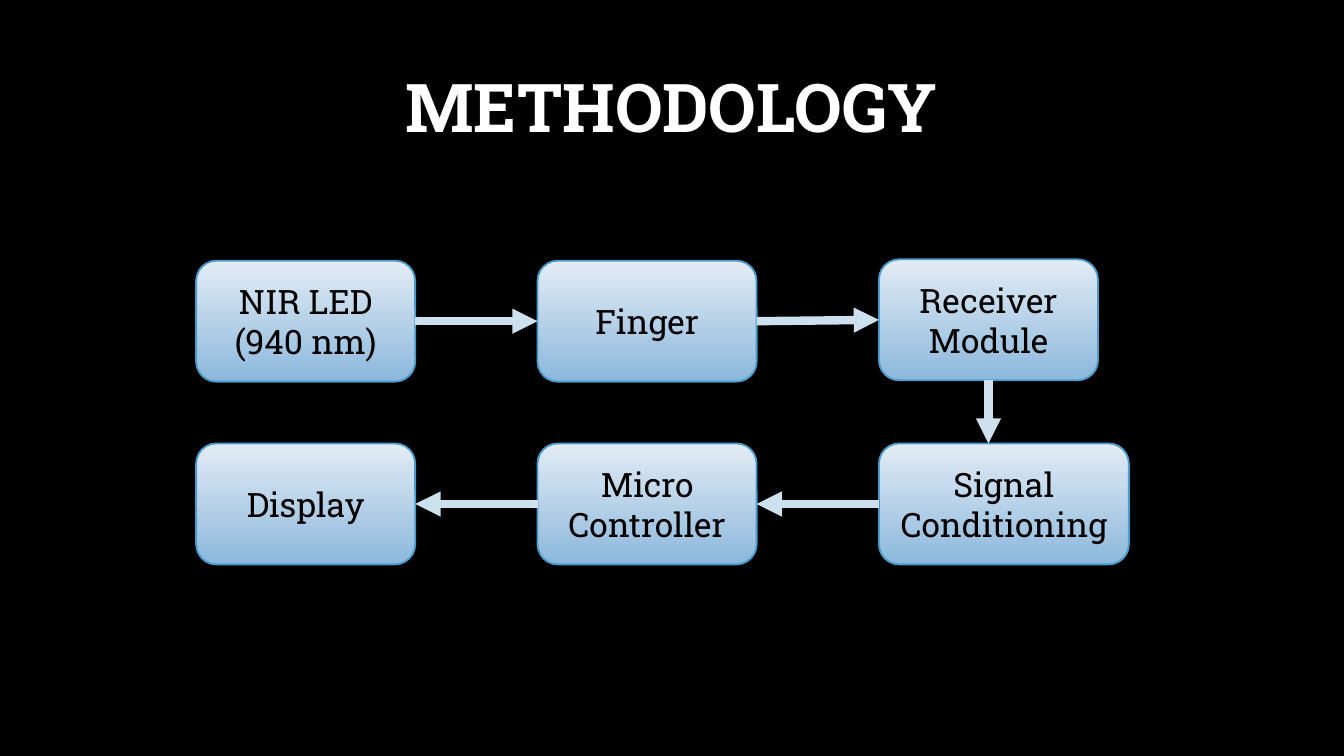
"""Build the methodology slide: six steps joined by arrows."""
from itertools import pairwise

from lxml.etree import SubElement
from pptx import Presentation
from pptx.dml.color import RGBColor
from pptx.enum.shapes import MSO_CONNECTOR, MSO_SHAPE
from pptx.enum.text import MSO_ANCHOR, PP_ALIGN
from pptx.oxml.ns import qn
from pptx.util import Inches, Pt

TITLE = "METHODOLOGY"
STEPS = [
    ("NIR LED\n(940 nm)", 0, 1.94, 1.63),
    ("Finger", 1, 1.94, 1.63),
    ("Receiver Module", 2, 1.93, 1.63),
    ("Signal Conditioning", 2, 3.3, 1.86),
    ("Micro Controller", 1, 3.3, 1.63),
    ("Display", 0, 3.3, 1.63),
]
FONT = "Roboto Slab"
LEFT, COL_STEP, HIGH = 1.46, 2.54, 0.9
UP, WEST, DOWN, EAST = range(4)


def color(code):
    return RGBColor.from_string(code)


def write(shape, text, size, code, bold=False):
    frame = shape.text_frame
    frame.word_wrap = True
    frame.vertical_anchor = MSO_ANCHOR.MIDDLE
    frame.text = text
    for para in frame.paragraphs:
        para.alignment = PP_ALIGN.CENTER
        para.font.name = FONT
        para.font.size = Pt(size)
        para.font.bold = bold
        para.font.color.rgb = color(code)


def add_step(slide, text, col, top, wide):
    box = slide.shapes.add_shape(
        MSO_SHAPE.ROUNDED_RECTANGLE,
        Inches(LEFT + col * COL_STEP), Inches(top),
        Inches(wide), Inches(HIGH))
    box.shadow.inherit = False
    box.fill.gradient()
    box.fill.gradient_angle = 270
    for stop, code in zip(box.fill.gradient_stops, ("E3ECF5", "8CB8DC")):
        stop.color.rgb = color(code)
    box.line.color.rgb = color("4A9CCC")
    box.line.width = Pt(1)
    write(box, text, 18, "000000")
    return box


def add_arrow(slide, start, end):
    mid = start.left + start.width // 2
    arrow = slide.shapes.add_connector(
        MSO_CONNECTOR.STRAIGHT, mid, start.top + start.height, mid, end.top)
    if start.left == end.left:
        arrow.begin_connect(start, DOWN)
    else:
        sides = (EAST, WEST) if start.left < end.left else (WEST, EAST)
        arrow.begin_connect(start, sides[0])
        arrow.end_connect(end, sides[1])
    arrow.line.color.rgb = color("CCE0EE")
    arrow.line.width = Pt(4.5)
    SubElement(arrow.line._get_or_add_ln(), qn("a:tailEnd"), type="triangle")
    SubElement(arrow._element.spPr, qn("a:effectLst"))


def main():
    deck = Presentation()
    deck.slide_width = Inches(10)
    deck.slide_height = deck.slide_width * 9 // 16
    slide = deck.slides.add_slide(deck.slide_layouts[6])
    slide.background.fill.solid()
    slide.background.fill.fore_color.rgb = color("000000")

    title = slide.shapes.add_textbox(
        Inches(0.75), Inches(0.28), Inches(8.49), Inches(1.09))
    write(title, TITLE, 36, "FFFFFF", bold=True)
    title.text_frame.paragraphs[0].line_spacing = 0.9

    boxes = [add_step(slide, *step) for step in STEPS]
    for start, end in pairwise(boxes):
        add_arrow(slide, start, end)
    deck.save("out.pptx")


if __name__ == "__main__":
    main()
